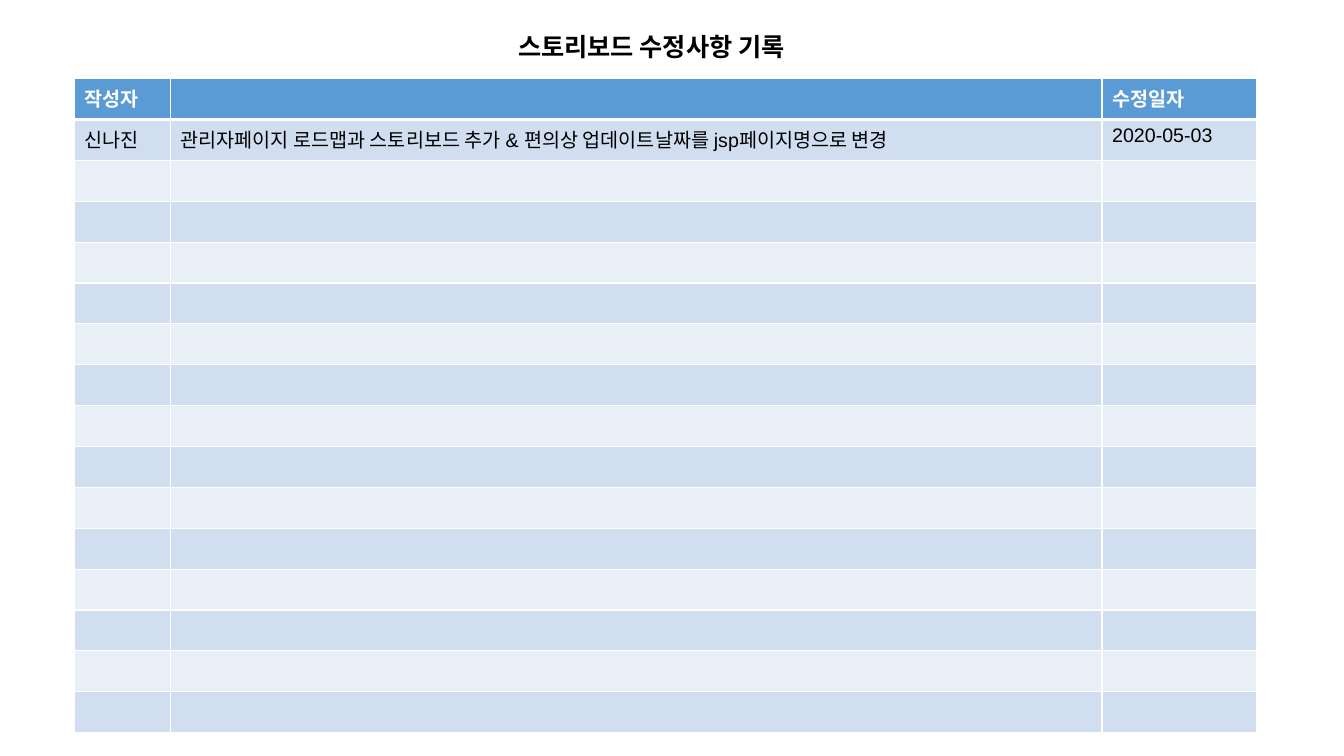
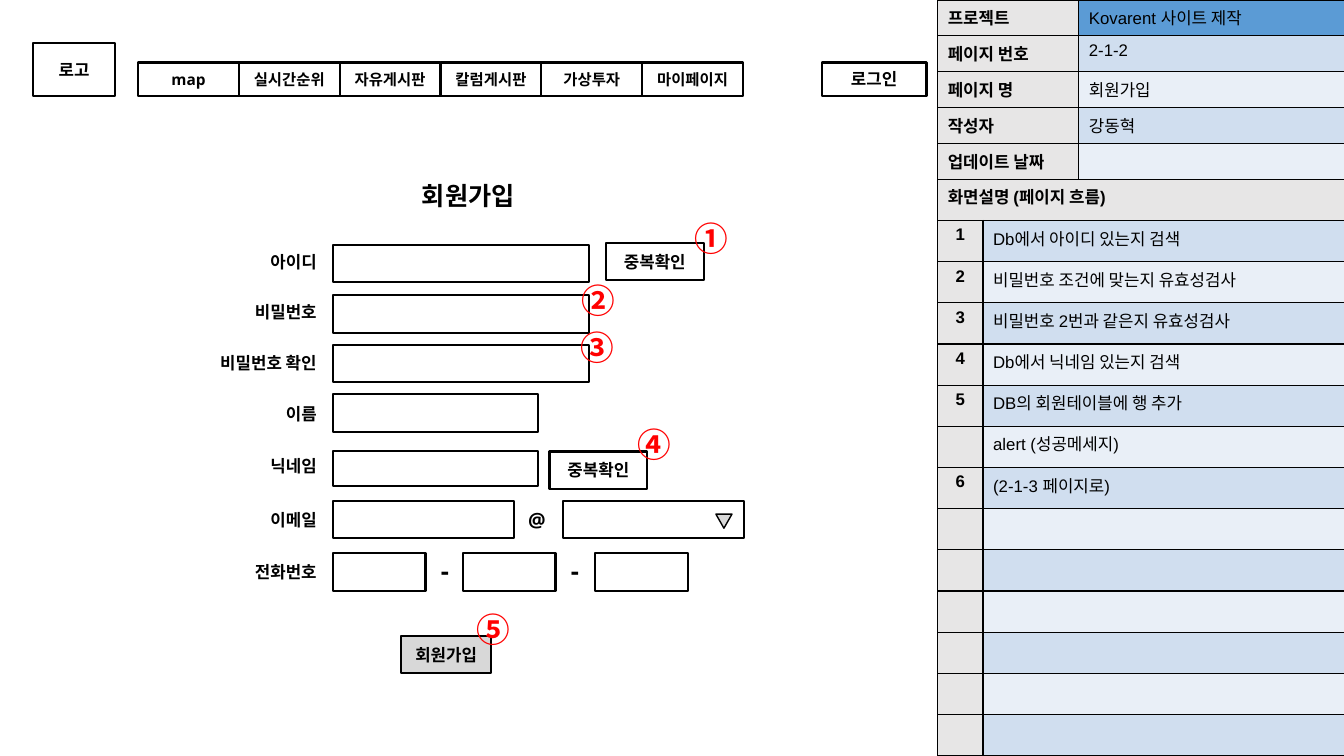
from lxml import etree
from pptx import Presentation
from pptx.dml.color import RGBColor
from pptx.enum.shapes import MSO_SHAPE
from pptx.enum.text import MSO_ANCHOR, PP_ALIGN
from pptx.oxml.ns import qn
from pptx.util import Inches, Pt

RECTANGLE, TRIANGLE = MSO_SHAPE.RECTANGLE, MSO_SHAPE.ISOSCELES_TRIANGLE
TOP, MIDDLE = MSO_ANCHOR.TOP, MSO_ANCHOR.MIDDLE
LEFT, CENTER, RIGHT = PP_ALIGN.LEFT, PP_ALIGN.CENTER, PP_ALIGN.RIGHT
BLACK, WHITE, RED = "000000", "FFFFFF", "FF0000"
BLUE, BANDS = "5B9BD5", ("D0DEEF", "E9EFF7")
LABEL_GRAY, BUTTON_GRAY = "E7E6E6", "D8D8D8"
TABLE_FONT, FORM_FONT, MARK_FONT = "Arial", "Open Sans", "Noto Sans CJK KR"

HISTORY = [
    ("작성자", "", "수정일자"),
    ("신나진", "관리자페이지 로드맵과 스토리보드 추가 & 편의상 업데이트날짜를 jsp페이지명으로 변경",
     "2020-05-03"),
] + [("", "", "")] * 14
PAGE_INFO = [
    ("프로젝트", "Kovarent 사이트 제작"),
    ("페이지 번호", "2-1-2"),
    ("페이지 명", "회원가입"),
    ("작성자", "강동혁"),
    ("업데이트 날짜", ""),
]
FLOW = [
    ("화면설명 (페이지 흐름)", ""),
    ("1", "Db에서 아이디 있는지 검색"),
    ("2", "비밀번호 조건에 맞는지 유효성검사"),
    ("3", "비밀번호 2번과 같은지 유효성검사"),
    ("4", "Db에서 닉네임 있는지 검색"),
    ("5", "DB의 회원테이블에 행 추가"),
    ("", "alert (성공메세지)"),
    ("6", "(2-1-3 페이지로)"),
] + [("", "")] * 6
MENU = ["map", "실시간순위", "자유게시판", "칼럼게시판", "가상투자", "마이페이지"]
FIELDS = [
    ("아이디", 2.41, 2.43, 0.37, [(3.3, 2.54)]),
    ("비밀번호", 2.91, 2.93, 0.37, [(3.3, 2.54)]),
    ("비밀번호 확인", 3.41, 3.42, 0.37, [(3.3, 2.54)]),
    ("이름", 3.92, 3.91, 0.38, [(3.3, 2.04)]),
    ("닉네임", 4.44, 4.47, 0.35, [(3.3, 2.04)]),
    ("이메일", 4.97, 4.97, 0.37, [(3.3, 1.8), (5.58, 1.8)]),
    ("전화번호", 5.49, 5.49, 0.37, [(3.3, 0.92), (4.59, 0.92), (5.9, 0.92)]),
]
SEPARATORS = [("@", 5.09, 4.98, 14), ("-", 4.13, 5.48, 18), ("-", 5.42, 5.48, 18)]
BUTTONS = [
    ("로고", (0.33, 0.43, 0.81, 0.52), None),
    ("로그인", (8.15, 0.62, 1.04, 0.33), None),
    ("중복확인", (6.01, 2.41, 0.97, 0.37), None),
    ("중복확인", (5.45, 4.48, 0.97, 0.37), None),
    ("회원가입", (3.98, 6.31, 0.89, 0.37), BUTTON_GRAY),
]
MARKS = [("①", 6.79, 2.11), ("②", 5.67, 2.73), ("③", 5.66, 3.19),
         ("④", 6.22, 4.16), ("⑤", 4.63, 5.99)]


def color(value):
    return RGBColor.from_string(value)


def write(frame, text, size, font, ink=BLACK, bold=True, align=LEFT):
    frame.text = text
    para = frame.paragraphs[0]
    para.alignment = align
    for span in para.runs:
        span.font.size, span.font.name, span.font.bold = Pt(size), font, bold
        span.font.color.rgb = color(ink)
    if not text:
        etree.SubElement(para._p, qn("a:endParaRPr"), sz=str(size * 100))


def set_margins(frame, anchor, vertical):
    frame.word_wrap = True
    frame.vertical_anchor = anchor
    frame.margin_left = frame.margin_right = Inches(0.1)
    frame.margin_top = frame.margin_bottom = Inches(vertical)


def add_text(page, text, place, size, font, ink=BLACK, align=LEFT, anchor=MIDDLE, vertical=0.1):
    box = page.shapes.add_textbox(*map(Inches, place))
    set_margins(box.text_frame, anchor, vertical)
    write(box.text_frame, text, size, font, ink, align=align)


def add_box(page, place, text="", size=12, fill=None, line=1.5, preset=RECTANGLE):
    box = page.shapes.add_shape(preset, *map(Inches, place))
    box.shadow.inherit = False
    box.line.color.rgb, box.line.width = color(BLACK), Pt(line)
    if fill:
        box.fill.solid()
        box.fill.fore_color.rgb = color(fill)
    else:
        box.fill.background()
    if text:
        set_margins(box.text_frame, MIDDLE, 0.1)
        write(box.text_frame, text, size, FORM_FONT, align=CENTER)
    return box


def set_borders(cell, ink, top=1, bottom=1):
    properties = cell._tc.get_or_add_tcPr()
    for side, width in (("L", 1), ("R", 1), ("T", top), ("B", bottom)):
        line = etree.SubElement(properties, qn("a:ln" + side), w=str(Pt(width)))
        fill = etree.SubElement(line, qn("a:solidFill"))
        etree.SubElement(fill, qn("a:srgbClr"), val=ink)


def add_grid(page, rows, left, top, widths, height, size, border, style):
    """Draw a table whose style(row, column) gives fill, ink, bold and alignment."""
    place = map(Inches, (left, top, sum(widths), height))
    table = page.shapes.add_table(len(rows), len(widths), *place).table
    table.first_row = table.horz_banding = False
    for column, width in zip(table.columns, widths):
        column.width = Inches(width)
    for r, texts in enumerate(rows):
        table.rows[r].height = Inches(height / len(rows))
        for c, text in enumerate(texts):
            cell = table.cell(r, c)
            fill, ink, bold, align = style(r, c)
            heavy = border == WHITE
            set_borders(cell, border, 3 if heavy and r == 1 else 1, 3 if heavy and r == 0 else 1)
            cell.fill.solid()
            cell.fill.fore_color.rgb = color(fill)
            write(cell.text_frame, text, size, TABLE_FONT, ink, bold, align)
    return table


def history_style(row, column):
    if row == 0:
        return BLUE, WHITE, True, LEFT
    return BANDS[(row - 1) % 2], BLACK, False, LEFT


def info_style(row, column):
    if column == 0:
        return LABEL_GRAY, BLACK, True, LEFT
    return BLUE if row == 0 else BANDS[(row - 1) % 2], BLACK, False, LEFT


def flow_style(row, column):
    if column == 0 or row == 0:
        return LABEL_GRAY, BLACK, True, CENTER if row else LEFT
    return BANDS[(row - 1) % 2], BLACK, False, LEFT


def build_history(page):
    add_grid(page, HISTORY, 0.74, 0.78, (0.95, 9.24, 1.53), 6.49, 14, WHITE, history_style)
    add_text(page, "스토리보드 수정사항 기록", (5.04, 0.26, 3.12, 0.4), 18, TABLE_FONT,
             anchor=TOP, vertical=0.05)


def build_signup(page):
    add_grid(page, PAGE_INFO, 9.3, 0, (1.4, 2.64), 1.78, 12, BLACK, info_style)
    flow = add_grid(page, FLOW, 9.3, 1.78, (0.45, 3.59), 5.72, 12, BLACK, flow_style)
    flow.cell(0, 0).merge(flow.cell(0, 1))

    add_text(page, "회원가입", (3.74, 1.75, 1.81, 0.37), 18, FORM_FONT, align=CENTER)
    for label, label_top, top, height, inputs in FIELDS:
        add_text(page, label, (1.84, label_top, 1.4, 0.37), 12, FORM_FONT, align=RIGHT)
        for left, width in inputs:
            add_box(page, (left, top, width, height))
    for sign, left, top, size in SEPARATORS:
        add_text(page, sign, (left, top, 0.42, 0.36), size, FORM_FONT, align=RIGHT)
    arrow = add_box(page, (7.1, 5.1, 0.16, 0.14), fill=BUTTON_GRAY, line=1, preset=TRIANGLE)
    arrow.rotation = 180

    for text, place, fill in BUTTONS:
        add_box(page, place, text, fill=fill)
    for index, text in enumerate(MENU):
        add_box(page, (1.37 + index * 1.0, 0.62, 1.0, 0.33), text, 11)
    for mark, left, top in MARKS:
        add_text(page, mark, (left, top, 0.52, 0.5), 24, MARK_FONT, RED, anchor=TOP, vertical=0.05)


def main():
    deck = Presentation()
    deck.slide_width, deck.slide_height = Inches(13.33), Inches(7.5)
    for build in (build_history, build_signup):
        build(deck.slides.add_slide(deck.slide_layouts[6]))
    deck.save("out.pptx")


if __name__ == "__main__":
    main()
